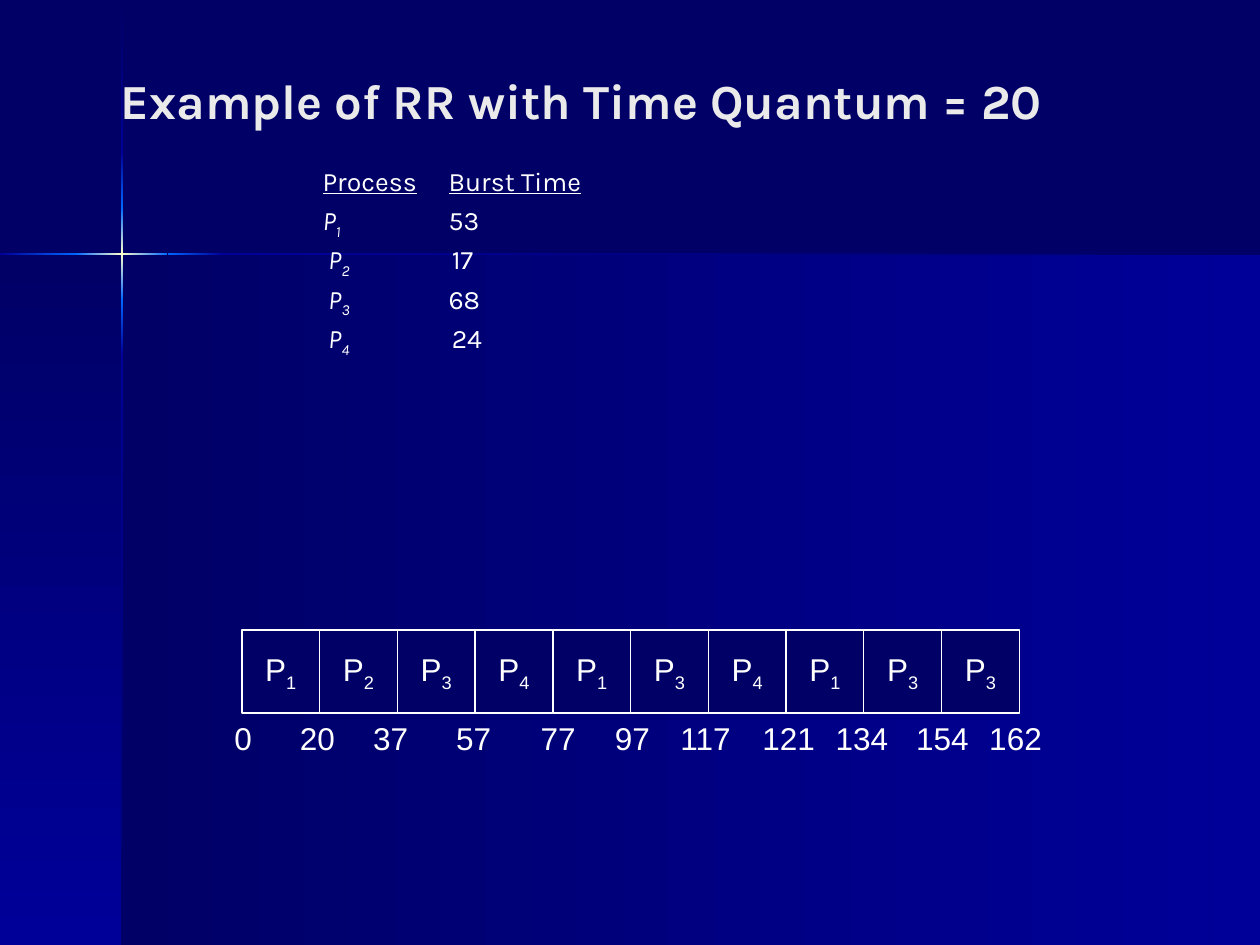
from lxml import etree
from pptx import Presentation
from pptx import util as u
from pptx.dml.color import RGBColor
from pptx.enum import shapes, text
from pptx.oxml import ns

NAVY = RGBColor(0x00, 0x00, 0x66)
BLUE = RGBColor(0x00, 0x00, 0x99)
BRIGHT = RGBColor(0x00, 0x66, 0xFF)
CREAM = RGBColor(0xFF, 0xFF, 0xCC)
WHITE = RGBColor(0xFF, 0xFF, 0xFF)
SILVER = RGBColor(0xEA, 0xEA, 0xEA)

WIDTH, HEIGHT = 10, 7.5
CROSS_X, CROSS_Y, BEAM = 0.97, 2.02, 0.02
RIGHTWARD, DOWNWARD = 0, 90

BURSTS = [("", "1", "", "53"), (" ", "2", " ", "17"),
          (" ", "3", "", "68"), (" ", "4", " ", "24")]
BURST_INDENT, BURST_TAB = 1.38, 1
SCHEDULE = "1234134133"
# Time mark and the centre of its label
TIMES = [(0, 1.93), (20, 2.52), (37, 3.1), (57, 3.76), (77, 4.43), (97, 5.02),
         (117, 5.6), (121, 6.26), (134, 6.84), (154, 7.48), (162, 8.06)]
GANTT_X, GANTT_Y, CELL_W, CELL_H = 1.92, 5, 0.617, 0.66
LABEL_W, LABEL_H = 0.8, 0.4


def inches(*lengths):
    return [u.Inches(n) for n in lengths]


def sub(parent, tag, **attrs):
    return etree.SubElement(parent, ns.qn(tag), attrs)


def add_run(p, words, size, font, color, subscript=False, **style):
    r = p.add_run()
    r.text = words
    r.font.size, r.font.name = u.Pt(size), font
    r.font.color.rgb = color
    for name, value in style.items():
        setattr(r.font, name, value)
    if subscript:
        r.font._element.set("baseline", "-25000")


def add_band(group, box, colors, angle):
    """Rectangle with evenly spaced gradient colours along the angle."""
    sp = group.shapes.add_shape(shapes.MSO_SHAPE.RECTANGLE, *inches(*box))
    sp.shadow.inherit = False
    sp.line.fill.background()
    sp.fill.gradient()
    grad = sp._element.spPr.find(ns.qn("a:gradFill"))
    for child in list(grad):
        grad.remove(child)
    stops = sub(grad, "a:gsLst")
    for i, color in enumerate(colors):
        stop = sub(stops, "a:gs", pos=str(100000 * i // (len(colors) - 1)))
        sub(stop, "a:srgbClr", val=str(color))
    sub(grad, "a:lin", ang=str(angle * 60000), scaled="0")


def add_backdrop(s):
    s.background.fill.solid()
    s.background.fill.fore_color.rgb = NAVY
    group = s.shapes.add_group_shape()
    low = HEIGHT - CROSS_Y
    add_band(group, (CROSS_X, CROSS_Y, WIDTH - CROSS_X, low), (NAVY, BLUE), RIGHTWARD)
    add_band(group, (0, CROSS_Y, CROSS_X, low), (NAVY, BLUE), DOWNWARD)

    glow = (BRIGHT, CREAM, BRIGHT)
    columns = [(0.01, 1.21, (NAVY, BLUE)), (1.21, 1.65, (BLUE, BRIGHT)),
               (1.65, 2.38, glow), (2.38, 2.82, (BRIGHT, BLUE)),
               (2.82, HEIGHT, (BLUE, NAVY))]
    for top, bottom, colors in columns:
        add_band(group, (CROSS_X - BEAM / 2, top, BEAM, bottom - top), colors, DOWNWARD)
    rows = [(0, 0.6, (BLUE, BRIGHT)), (0.6, 1.33, glow),
            (1.33, 1.77, (BRIGHT, BLUE)), (1.77, WIDTH, (BLUE, NAVY))]
    for left, right, colors in rows:
        add_band(group, (left, CROSS_Y - BEAM / 2, right - left, BEAM * 0.75),
                 colors, RIGHTWARD)


def place(s, sp, box):
    """Move a placeholder into its box, in front of what is drawn so far."""
    sp.left, sp.top, sp.width, sp.height = inches(*box)
    s.shapes._spTree.append(sp._element)
    tf = sp.text_frame
    tf.auto_size = text.MSO_AUTO_SIZE.NONE
    return tf


def add_title(s):
    tf = place(s, s.shapes.title, (0.86, 0.33, 9.81, 0.92))
    tf.vertical_anchor = text.MSO_ANCHOR.MIDDLE
    p = tf.paragraphs[0]
    p.alignment = text.PP_ALIGN.LEFT
    add_run(p, "Example of RR with Time Quantum = 20", 28, "Karla", SILVER, bold=True)


def format_burst_row(p, first):
    p.line_spacing = 0.7
    p.space_before = u.Pt(0 if first else 8)
    pPr = p._p.get_or_add_pPr()
    pPr.set("marL", str(u.Inches(BURST_INDENT)))
    pPr.set("indent", "0")
    pPr.set("defTabSz", str(u.Inches(BURST_TAB)))
    sub(pPr, "a:buNone")


def add_burst_times(s):
    tf = place(s, s.placeholders[1], (1.08, 1.33, 7.6, 2.93))
    look = (15.2, "Karla", WHITE)
    p = tf.paragraphs[0]
    format_burst_row(p, True)
    add_run(p, "Process", *look, underline=True)
    add_run(p, "\t", *look)
    add_run(p, "Burst Time", *look, underline=True)
    for lead, number, gap, burst in BURSTS:
        p = tf.add_paragraph()
        format_burst_row(p, False)
        add_run(p, lead + "P", *look, italic=True)
        add_run(p, number + "\t" + gap, *look, subscript=True, italic=True)
        add_run(p, burst, *look)


def centre_text(sp):
    tf = sp.text_frame
    tf.word_wrap = False
    tf.vertical_anchor = text.MSO_ANCHOR.MIDDLE
    p = tf.paragraphs[0]
    p.alignment = text.PP_ALIGN.CENTER
    return p


def add_gantt(s):
    group = s.shapes.add_group_shape()
    look = (18, "Arial", WHITE)
    for i, number in enumerate(SCHEDULE):
        box = inches(GANTT_X + i * CELL_W, GANTT_Y, CELL_W, CELL_H)
        sp = group.shapes.add_shape(shapes.MSO_SHAPE.RECTANGLE, *box)
        sp.shadow.inherit = False
        sp.fill.solid()
        sp.fill.fore_color.rgb = NAVY
        sp.line.color.rgb = WHITE
        sp.line.width = u.Pt(0.75)
        p = centre_text(sp)
        add_run(p, "P", *look)
        add_run(p, number, *look, subscript=True)
    for time, centre in TIMES:
        box = inches(centre - LABEL_W / 2, GANTT_Y + CELL_H, LABEL_W, LABEL_H)
        add_run(centre_text(group.shapes.add_textbox(*box)), str(time), *look)


def main():
    prs = Presentation()
    prs.slide_width, prs.slide_height = inches(WIDTH, HEIGHT)
    s = prs.slides.add_slide(prs.slide_layouts[1])
    add_backdrop(s)
    add_title(s)
    add_burst_times(s)
    add_gantt(s)
    prs.save("out.pptx")


if __name__ == "__main__":
    main()
